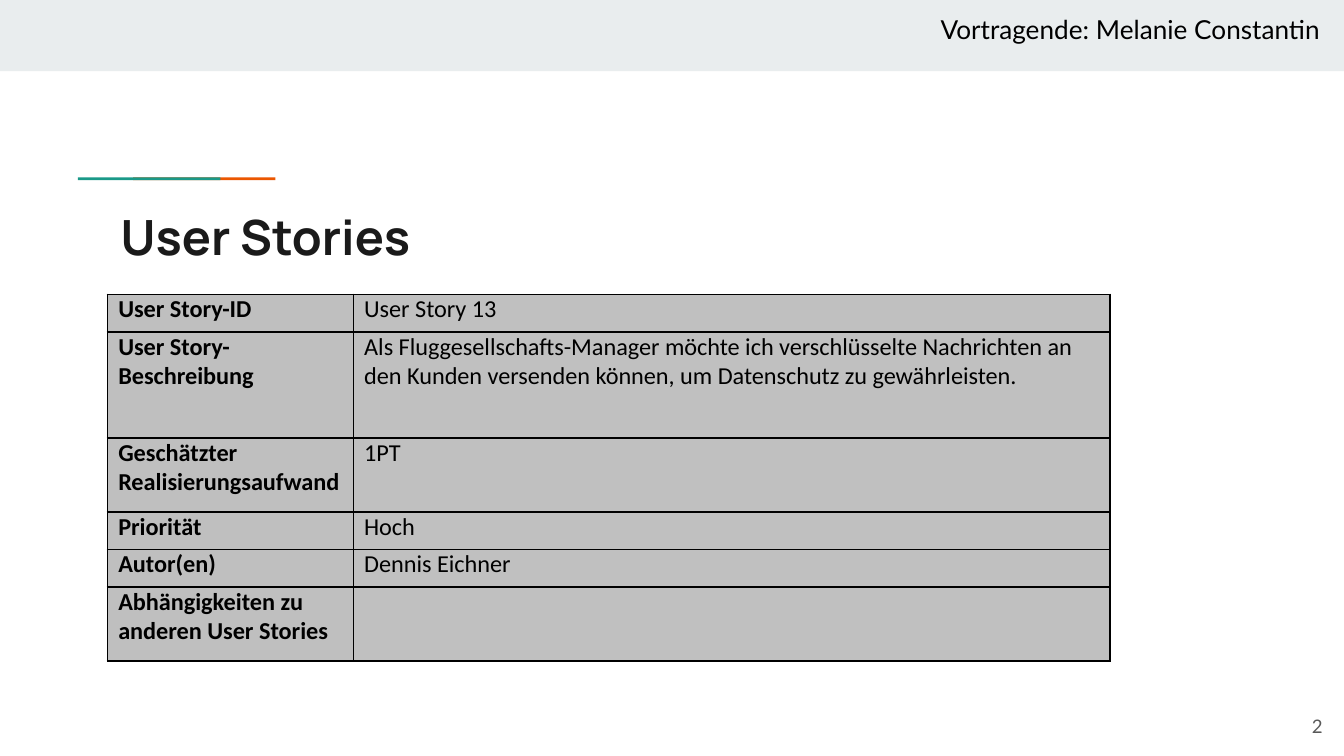
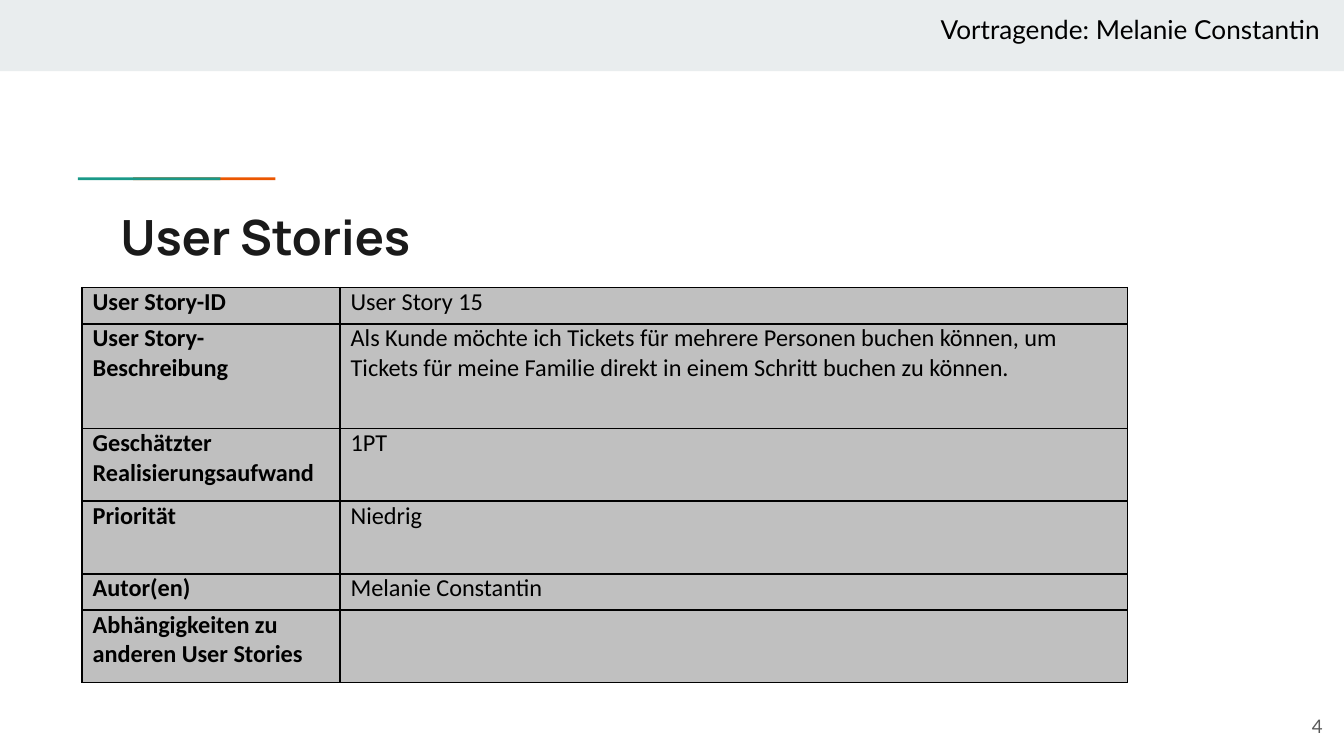
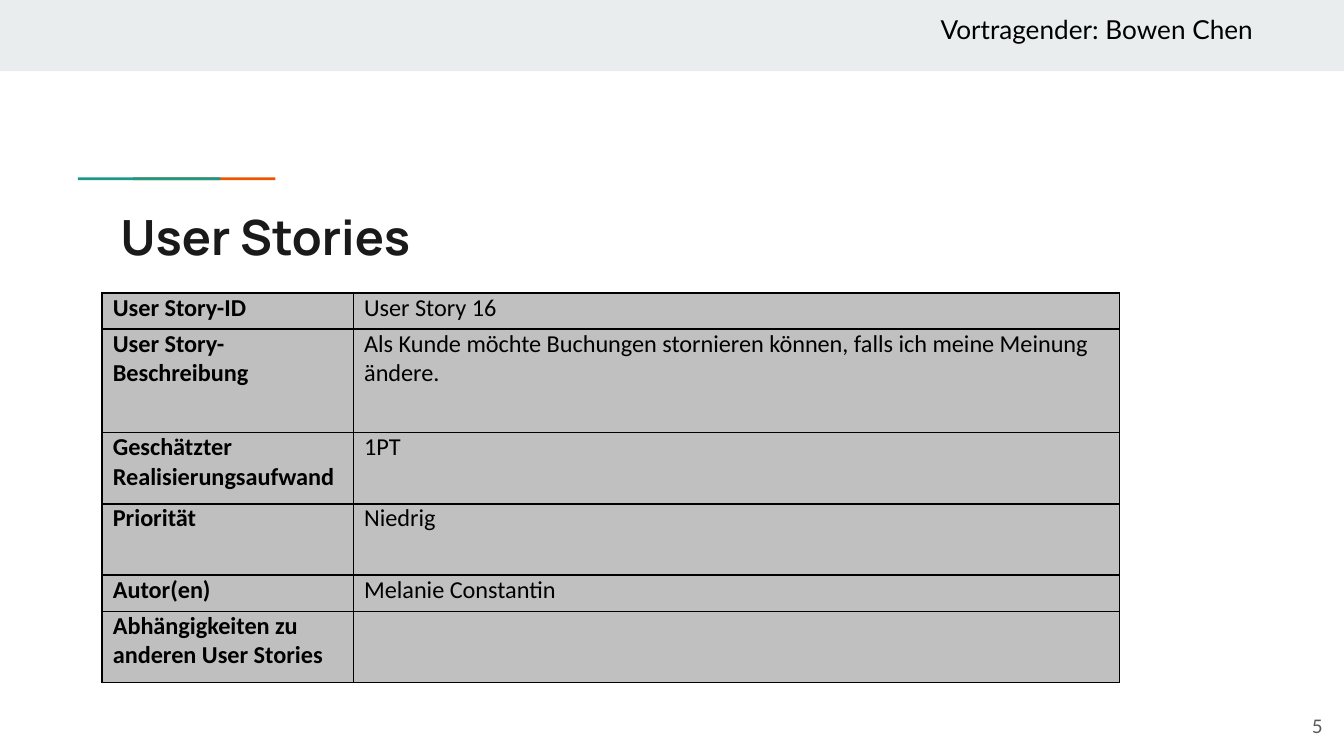
from dataclasses import dataclass

from lxml import etree
from pptx import Presentation
from pptx.dml.color import RGBColor
from pptx.enum.shapes import MSO_SHAPE
from pptx.enum.text import MSO_ANCHOR, PP_ALIGN
from pptx.oxml.ns import qn
from pptx.util import Inches, Pt

RECTANGLE = MSO_SHAPE.RECTANGLE
TOP, MIDDLE = MSO_ANCHOR.TOP, MSO_ANCHOR.MIDDLE
LEFT, RIGHT = PP_ALIGN.LEFT, PP_ALIGN.RIGHT

# Widescreen slide, 16:9
SLIDE_WIDTH = Inches(10)
SLIDE_HEIGHT = SLIDE_WIDTH * 9 // 16

BLACK = RGBColor(0x00, 0x00, 0x00)
TITLE_COLOR = RGBColor(0x1A, 0x1A, 0x1A)
NUMBER_COLOR = RGBColor(0x59, 0x59, 0x59)
BAND_COLOR = RGBColor(0xE9, 0xED, 0xEE)
ORANGE = RGBColor(0xEB, 0x56, 0x00)
TEAL = RGBColor(0x1A, 0x99, 0x88)
LABEL_FILL = RGBColor(0xBF, 0xBF, 0xBF)
VALUE_FILL = RGBColor(0xC0, 0xC0, 0xC0)

TITLE_FONT, BODY_FONT, TABLE_FONT = "Manrope", "Lato", "Calibri"
BORDER_WIDTH = Pt(1)
ROW_LABELS = (
    "User Story-ID",
    "User Story-Beschreibung",
    "Geschätzter Realisierungsaufwand",
    "Priorität",
    "Autor(en)",
    "Abhängigkeiten zu anderen User Stories",
)
DESCRIPTION_ROW = 1


@dataclass(frozen=True)
class Box:
    left: float
    top: float
    width: float
    height: float

    def lengths(self):
        return [Inches(n) for n in (self.left, self.top, self.width, self.height)]


@dataclass(frozen=True)
class StorySlide:
    number: int
    speaker: str
    left: float
    top: float
    columns: tuple[float, float]
    rows: tuple[float, ...]
    values: tuple[str, ...]


STORY_SLIDES = (
    StorySlide(
        2, "Vortragende: Melanie Constantin", 0.8, 2.19,
        (1.83, 5.63), (0.28, 0.79, 0.55, 0.28, 0.28, 0.55),
        ("User Story 13",
         "Als Fluggesellschafts-Manager möchte ich verschlüsselte Nachrichten an "
         "den Kunden versenden können, um Datenschutz zu gewährleisten.",
         "1PT", "Hoch", "Dennis Eichner", ""),
    ),
    StorySlide(
        4, "Vortragende: Melanie Constantin", 0.61, 2.14,
        (1.92, 5.86), (0.27, 0.78, 0.54, 0.54, 0.27, 0.54),
        ("User Story 15",
         "Als Kunde möchte ich Tickets für mehrere Personen buchen können, um "
         "Tickets für meine Familie direkt in einem Schritt buchen zu können.",
         "1PT", "Niedrig", "Melanie Constantin", ""),
    ),
    StorySlide(
        5, "Vortragender: Bowen Chen", 0.76, 2.18,
        (1.87, 5.7), (0.27, 0.77, 0.53, 0.53, 0.27, 0.53),
        ("User Story 16",
         "Als Kunde möchte Buchungen stornieren können, falls ich meine Meinung "
         "ändere.",
         "1PT", "Niedrig", "Melanie Constantin", ""),
    ),
)


def write_text(text_frame, text: str, *, font: str, size: float, color=BLACK,
               bold=False, align=LEFT, space_before=0) -> None:
    paragraph = text_frame.paragraphs[0]
    paragraph.alignment = align
    paragraph.space_before = Pt(space_before)
    run = paragraph.add_run()
    run.text = text
    run.font.name = font
    run.font.size = Pt(size)
    run.font.bold = bold
    run.font.color.rgb = color


def add_text(slide, box: Box, text: str, *, anchor=TOP, **text_format) -> None:
    text_frame = slide.shapes.add_textbox(*box.lengths()).text_frame
    text_frame.word_wrap = True
    text_frame.vertical_anchor = anchor
    text_frame.margin_left = text_frame.margin_right = Inches(0.1)
    text_frame.margin_top = text_frame.margin_bottom = Inches(0.1)
    write_text(text_frame, text, **text_format)


def add_bar(slide, box: Box, color: RGBColor) -> None:
    shape = slide.shapes.add_shape(RECTANGLE, *box.lengths())
    shape.shadow.inherit = False
    shape.fill.solid()
    shape.fill.fore_color.rgb = color
    shape.line.fill.background()


def add_frame(slide, story: StorySlide) -> None:
    # Header band and two-coloured accent line, teal overlapping orange
    add_bar(slide, Box(0, 0, 10, 0.53), BAND_COLOR)
    add_bar(slide, Box(0.99, 1.32, 1.06, 0.02), ORANGE)
    add_bar(slide, Box(0.58, 1.32, 1.06, 0.02), TEAL)
    # Title, speaker and slide number
    add_text(slide, Box(0.8, 1.44, 8.41, 0.59), "User Stories",
             font=TITLE_FONT, size=26, color=TITLE_COLOR, bold=True)
    add_text(slide, Box(6.9, 0, 3.1, 0.54), story.speaker,
             font=BODY_FONT, size=14)
    add_text(slide, Box(9.34, 5.19, 0.6, 0.43), str(story.number), anchor=MIDDLE,
             font=BODY_FONT, size=10, color=NUMBER_COLOR, align=RIGHT)


def set_borders(cell) -> None:
    properties = cell._tc.get_or_add_tcPr()
    for side in ("a:lnL", "a:lnR", "a:lnT", "a:lnB"):
        line = etree.SubElement(properties, qn(side), w=str(int(BORDER_WIDTH)))
        fill = etree.SubElement(line, qn("a:solidFill"))
        etree.SubElement(fill, qn("a:srgbClr"), val=str(BLACK))


def fill_cell(cell, text: str, color: RGBColor, **text_format) -> None:
    set_borders(cell)
    cell.fill.solid()
    cell.fill.fore_color.rgb = color
    cell.margin_left = cell.margin_right = Inches(0.08)
    cell.margin_top = cell.margin_bottom = 0
    if text:
        write_text(cell.text_frame, text, font=TABLE_FONT, size=13, **text_format)


def add_story_table(slide, story: StorySlide) -> None:
    box = Box(story.left, story.top, sum(story.columns), sum(story.rows))
    table = slide.shapes.add_table(
        len(story.rows), len(story.columns), *box.lengths()).table
    table.first_row = table.horz_banding = False
    for column, width in zip(table.columns, story.columns):
        column.width = Inches(width)
    for index, (label, value) in enumerate(zip(ROW_LABELS, story.values)):
        table.rows[index].height = Inches(story.rows[index])
        fill_cell(table.cell(index, 0), label, LABEL_FILL, bold=True)
        fill_cell(table.cell(index, 1), value, VALUE_FILL,
                  space_before=12 if index == DESCRIPTION_ROW else 0)


def main() -> None:
    presentation = Presentation()
    presentation.slide_width = SLIDE_WIDTH
    presentation.slide_height = SLIDE_HEIGHT
    blank_layout = presentation.slide_layouts[6]
    for story in STORY_SLIDES:
        slide = presentation.slides.add_slide(blank_layout)
        add_frame(slide, story)
        add_story_table(slide, story)
    presentation.save("out.pptx")


if __name__ == "__main__":
    main()
